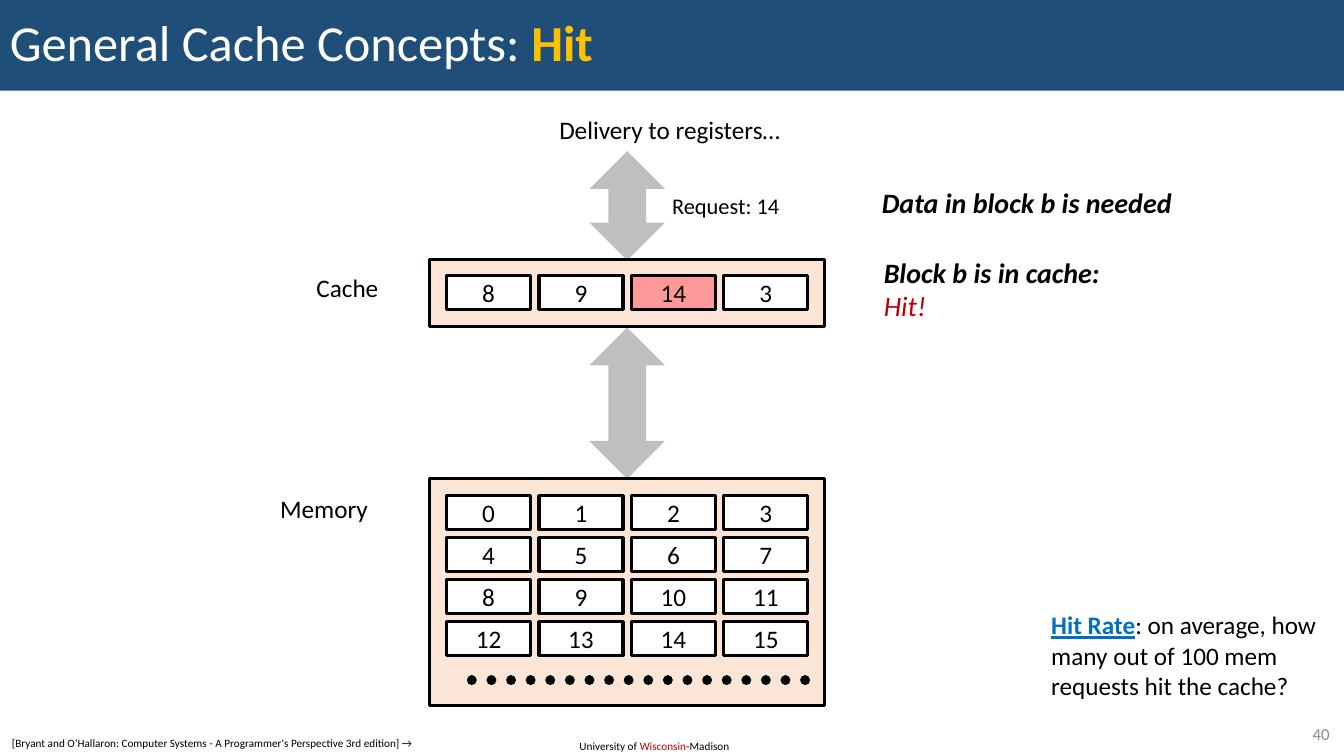
from lxml import etree
from pptx import Presentation
from pptx.dml.color import RGBColor
from pptx.enum.dml import MSO_LINE
from pptx.enum.shapes import MSO_CONNECTOR, MSO_SHAPE
from pptx.enum.text import MSO_ANCHOR, MSO_AUTO_SIZE, PP_ALIGN
from pptx.oxml.ns import qn
from pptx.util import Pt

RECTANGLE = MSO_SHAPE.RECTANGLE
UP_DOWN_ARROW = MSO_SHAPE.UP_DOWN_ARROW
STRAIGHT = MSO_CONNECTOR.STRAIGHT
ROUND_DOT = MSO_LINE.ROUND_DOT
LEFT, CENTER, RIGHT = PP_ALIGN.LEFT, PP_ALIGN.CENTER, PP_ALIGN.RIGHT
TOP, MIDDLE = MSO_ANCHOR.TOP, MSO_ANCHOR.MIDDLE
FIT_SHAPE, NO_FIT = MSO_AUTO_SIZE.SHAPE_TO_FIT_TEXT, MSO_AUTO_SIZE.NONE

FONT = "Calibri"
BLACK, WHITE, RED = "000000", "FFFFFF", "C00000"
PANEL, HIT_BLOCK, ARROW = "FBE5D6", "FF9999", "BFBFBF"

COLUMNS = 4
BLOCK_LEFT, BLOCK_WIDTH, BLOCK_HEIGHT = 319, 60, 24
COLUMN_STEP, ROW_STEP = 66, 30


def rgb(color):
    return RGBColor.from_string(color)


def add_span(para, text, size=18, color=BLACK, bold=False, italic=False, underline=False):
    """Append formatted text; each newline becomes a line break."""
    for index, line in enumerate(text.split("\n")):
        if index:
            para.add_line_break()
        span = para.add_run()
        span.text = line
        font = span.font
        font.name, font.size = FONT, Pt(size)
        font.color.rgb = rgb(color)
        font.bold, font.italic, font.underline = bold, italic, underline


def start_text(box, text, align=LEFT, anchor=TOP, wrap=True, fit=NO_FIT, spacing=1.0, **style):
    """Fill the first paragraph of a box and return it."""
    frame = box.text_frame
    frame.word_wrap, frame.auto_size, frame.vertical_anchor = wrap, fit, anchor
    para = frame.paragraphs[0]
    para.alignment, para.line_spacing = align, spacing
    add_span(para, text, **style)
    return para


def add_label(page, text, left, top, width, height, wrap=False, fit=FIT_SHAPE, **style):
    box = page.shapes.add_textbox(Pt(left), Pt(top), Pt(width), Pt(height))
    start_text(box, text, wrap=wrap, fit=fit, **style)
    return box


def add_figure(page, kind, left, top, width, height, fill, outlined=False):
    figure = page.shapes.add_shape(kind, Pt(left), Pt(top), Pt(width), Pt(height))
    figure.shadow.inherit = False
    figure.fill.solid()
    figure.fill.fore_color.rgb = rgb(fill)
    if outlined:
        figure.line.color.rgb = rgb(BLACK)
        figure.line.width = Pt(2.25)
    else:
        figure.line.fill.background()
    return figure


def add_blocks(page, top, numbers, hit=None):
    """Lay numbered blocks out row by row, highlighting the hit."""
    for index, number in enumerate(numbers):
        row, column = divmod(index, COLUMNS)
        block = add_figure(page, RECTANGLE, BLOCK_LEFT + column * COLUMN_STEP,
                           top + row * ROW_STEP, BLOCK_WIDTH, BLOCK_HEIGHT,
                           HIT_BLOCK if number == hit else WHITE, outlined=True)
        start_text(block, str(number), align=CENTER, anchor=MIDDLE)


def add_dotted_line(page, left, right, y):
    dots = page.shapes.add_connector(STRAIGHT, Pt(left), Pt(y), Pt(right), Pt(y))
    dots.line.color.rgb = rgb(BLACK)
    dots.line.width = Pt(7)
    dots.line.dash_style = ROUND_DOT
    properties = dots.element.spPr
    properties.find(qn("a:ln")).set("cap", "rnd")
    etree.SubElement(properties, qn("a:effectLst"))


def add_title(page):
    banner = add_figure(page, RECTANGLE, 0, 0, 960, 64.8, "1F4E79")
    para = start_text(banner, "General Cache Concepts: ", anchor=MIDDLE, spacing=0.9,
                      size=36, color=WHITE)
    add_span(para, "Hit", size=36, color="FFC000", bold=True)


def add_diagram(page):
    for top, height in ((108, 78), (234, 108)):
        add_figure(page, UP_DOWN_ARROW, 421, top, 54, height, ARROW)
    for top, height in ((342, 162), (185.3, 48)):
        add_figure(page, RECTANGLE, 306.8, top, 282.2, height, PANEL, outlined=True)
    add_blocks(page, 354, range(16))
    add_blocks(page, 197, (8, 9, 14, 3), hit=14)
    add_dotted_line(page, 337, 577, 486)
    add_label(page, "Delivery to registers…", 392.4, 77.8, 174.2, 28.8)
    add_label(page, "Request: 14", 471.6, 133.9, 93.6, 26.6, align=CENTER, size=16)
    add_label(page, "Cache", 218.9, 191, 59, 28.8)
    add_label(page, "Memory", 193, 348.5, 77.8, 28.8)


def add_explanations(page):
    emphasis = {"size": 20, "bold": True, "italic": True, "spacing": 0.98, "anchor": MIDDLE}
    add_label(page, "Data in block b is needed", 622.8, 130.3, 222.5, 31, **emphasis)
    outcome = add_label(page, "Block b is in cache:", 624.2, 180, 170, 54.7, **emphasis)
    para = outcome.text_frame.add_paragraph()
    para.line_spacing = 0.98
    add_span(para, "Hit!", size=20, color=RED, italic=True)

    hit_rate = add_label(page, "Hit Rate", 743.8, 432, 210.2, 72.7,
                         color="0070C0", bold=True, underline=True)
    add_span(hit_rate.text_frame.paragraphs[0],
             ": on average, how \nmany out of 100 mem \nrequests hit the cache?")


def add_footer(page):
    school = add_label(page, "University of ", 406.8, 524.2, 123.8, 17.3, wrap=True, size=8)
    para = school.text_frame.paragraphs[0]
    add_span(para, "Wisconsin", size=8, color=RED)
    add_span(para, "-Madison", size=8)
    citation = add_figure(page, RECTANGLE, 1.4, 522.7, 310.3, 17.3, WHITE)
    start_text(citation, "[Bryant and O‘Hallaron: Computer Systems - "
               "A Programmer's Perspective 3rd edition] →", fit=FIT_SHAPE, size=8)
    add_label(page, "40", 902.2, 513.4, 54.7, 20.9, wrap=True, fit=NO_FIT,
              align=RIGHT, anchor=MIDDLE, size=12, color="8C8C8C")


def main():
    deck = Presentation()
    deck.slide_width, deck.slide_height = Pt(960), Pt(540)
    page = deck.slides.add_slide(deck.slide_layouts[6])
    add_title(page)
    add_diagram(page)
    add_explanations(page)
    add_footer(page)
    deck.save("out.pptx")


if __name__ == "__main__":
    main()
